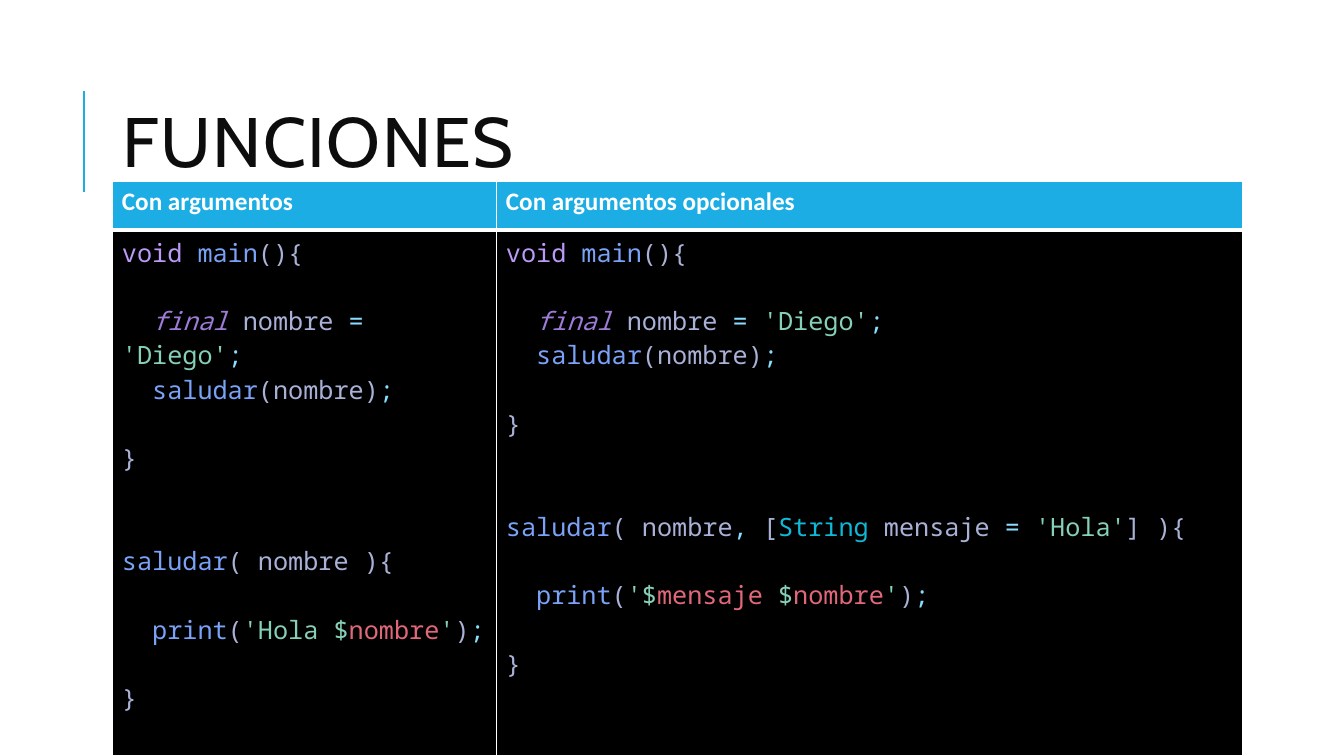
from lxml import etree
from pptx import Presentation
from pptx.dml.color import RGBColor
from pptx.enum.shapes import MSO_CONNECTOR
from pptx.enum.text import MSO_ANCHOR
from pptx.oxml.ns import qn
from pptx.util import Pt

STRAIGHT = MSO_CONNECTOR.STRAIGHT
MIDDLE = MSO_ANCHOR.MIDDLE

ACCENT = RGBColor(0x1C, 0xAD, 0xE4)
WHITE = RGBColor(0xFF, 0xFF, 0xFF)
BLACK = RGBColor(0x00, 0x00, 0x00)
TITLE_INK = RGBColor(0x0D, 0x0D, 0x0D)
KEYWORD = RGBColor(0xBB, 0x9A, 0xF7)
MODIFIER = RGBColor(0x9D, 0x7C, 0xD8)
FUNCTION = RGBColor(0x7A, 0xA2, 0xF7)
PLAIN = RGBColor(0xA9, 0xB1, 0xD6)
OPERATOR = RGBColor(0x89, 0xDD, 0xFF)
STRING = RGBColor(0x85, 0xD0, 0xB7)
VARIABLE = RGBColor(0xE0, 0x68, 0x7A)
TYPE = RGBColor(0x0D, 0xB9, 0xD7)

CODE_SIZE = 18
CODE_LINE = 24.5
CODE_INDENT = 21.6

# Each code line: indent levels, blank lines above, coloured spans
MAIN_LINES = [
    (0, 0, [("void ", KEYWORD), ("main", FUNCTION), ("(){", PLAIN)]),
    (1, 1, [("final", MODIFIER), (" nombre ", PLAIN), ("= ", OPERATOR),
            ("'Diego'", STRING), (";", OPERATOR)]),
    (1, 0, [("saludar", FUNCTION), ("(nombre)", PLAIN), (";", OPERATOR)]),
    (0, 1, [("}", PLAIN)]),
]
REQUIRED_HEAD = [("( nombre ){", PLAIN)]
REQUIRED_PRINT = [("'Hola $", STRING), ("nombre", VARIABLE)]
OPTIONAL_HEAD = [("( nombre", PLAIN), (",", OPERATOR), (" [", PLAIN),
                 ("String", TYPE), (" mensaje ", PLAIN), ("= ", OPERATOR),
                 ("'Hola'", STRING), ("] ){", PLAIN)]
OPTIONAL_PRINT = [("'$", STRING), ("mensaje", VARIABLE),
                  (" $", STRING), ("nombre", VARIABLE)]


def program(head, message):
    """Return the lines of main() followed by one version of saludar()."""
    return MAIN_LINES + [
        (0, 2, [("saludar", FUNCTION)] + head),
        (1, 1, [("print", FUNCTION), ("(", PLAIN)] + message
         + [("'", STRING), (")", PLAIN), (";", OPERATOR)]),
        (0, 1, [("}", PLAIN)]),
    ]


def add_span(para, text, *, font, size, color, bold=False, italic=False):
    span = para.add_run()
    span.text = text
    span.font.name = font
    span.font.size = Pt(size)
    span.font.color.rgb = color
    span.font.bold = bold
    span.font.italic = italic
    return span


def add_title(page, text):
    box = page.shapes.add_textbox(Pt(80.6), Pt(46), Pt(765.4), Pt(118))
    frame = box.text_frame
    frame.word_wrap = True
    frame.vertical_anchor = MIDDLE
    para = frame.paragraphs[0]
    para.line_spacing = 0.8
    span = add_span(para, text, font="Cabin", size=50, color=TITLE_INK)
    span.font._element.set("spc", "100")


def add_accent_line(page):
    line = page.shapes.add_connector(STRAIGHT, Pt(60), Pt(137), Pt(60), Pt(65))
    line.line.color.rgb = ACCENT
    line.line.width = Pt(1.5)
    etree.SubElement(line._element.spPr, qn("a:effectLst"))


def style_cell(cell, fill, top, bottom):
    """Set fill, margins and white borders; top and bottom are line widths."""
    cell.margin_left = cell.margin_right = Pt(6.5)
    cell.margin_top = cell.margin_bottom = Pt(3.6)
    properties = cell._tc.get_or_add_tcPr()
    for side, width in (("L", 1), ("R", 1), ("T", top), ("B", bottom)):
        border = etree.SubElement(properties, qn(f"a:ln{side}"), w=str(Pt(width)))
        solid = etree.SubElement(border, qn("a:solidFill"))
        etree.SubElement(solid, qn("a:srgbClr"), val=str(WHITE))
    cell.fill.solid()
    cell.fill.fore_color.rgb = fill


def write_code(cell, lines):
    frame = cell.text_frame
    for number, (level, blanks, spans) in enumerate(lines):
        para = frame.add_paragraph() if number else frame.paragraphs[0]
        para.space_before = Pt(blanks * CODE_LINE)
        properties = para._p.get_or_add_pPr()
        properties.set("marL", "0")
        properties.set("indent", str(Pt(level * CODE_INDENT)))
        for text, color in spans:
            add_span(para, text, font="Noto Sans Mono", size=CODE_SIZE,
                     color=color, italic=color == MODIFIER)


def add_code_table(page, columns):
    """Add one column per (heading, width, code lines)."""
    total = sum(width for _, width, _ in columns)
    table = page.shapes.add_table(2, len(columns), Pt(80.6), Pt(129.9),
                                  Pt(total), Pt(410.1)).table
    table.rows[0].height = Pt(34.5)
    table.rows[1].height = Pt(375.6)
    for index, (heading, width, lines) in enumerate(columns):
        table.columns[index].width = Pt(width)
        header, body = table.cell(0, index), table.cell(1, index)
        style_cell(header, ACCENT, top=1, bottom=3)
        add_span(header.text_frame.paragraphs[0], heading, font="Calibri",
                 size=18, color=WHITE, bold=True)
        style_cell(body, BLACK, top=3, bottom=1)
        write_code(body, lines)


def main():
    deck = Presentation()
    deck.slide_width, deck.slide_height = Pt(960), Pt(540)
    page = deck.slides.add_slide(deck.slide_layouts[6])
    add_accent_line(page)
    add_title(page, "FUNCIONES")
    add_code_table(page, [
        ("Con argumentos", 274.3, program(REQUIRED_HEAD, REQUIRED_PRINT)),
        ("Con argumentos opcionales", 532.8,
         program(OPTIONAL_HEAD, OPTIONAL_PRINT)),
    ])
    deck.save("out.pptx")


if __name__ == "__main__":
    main()
